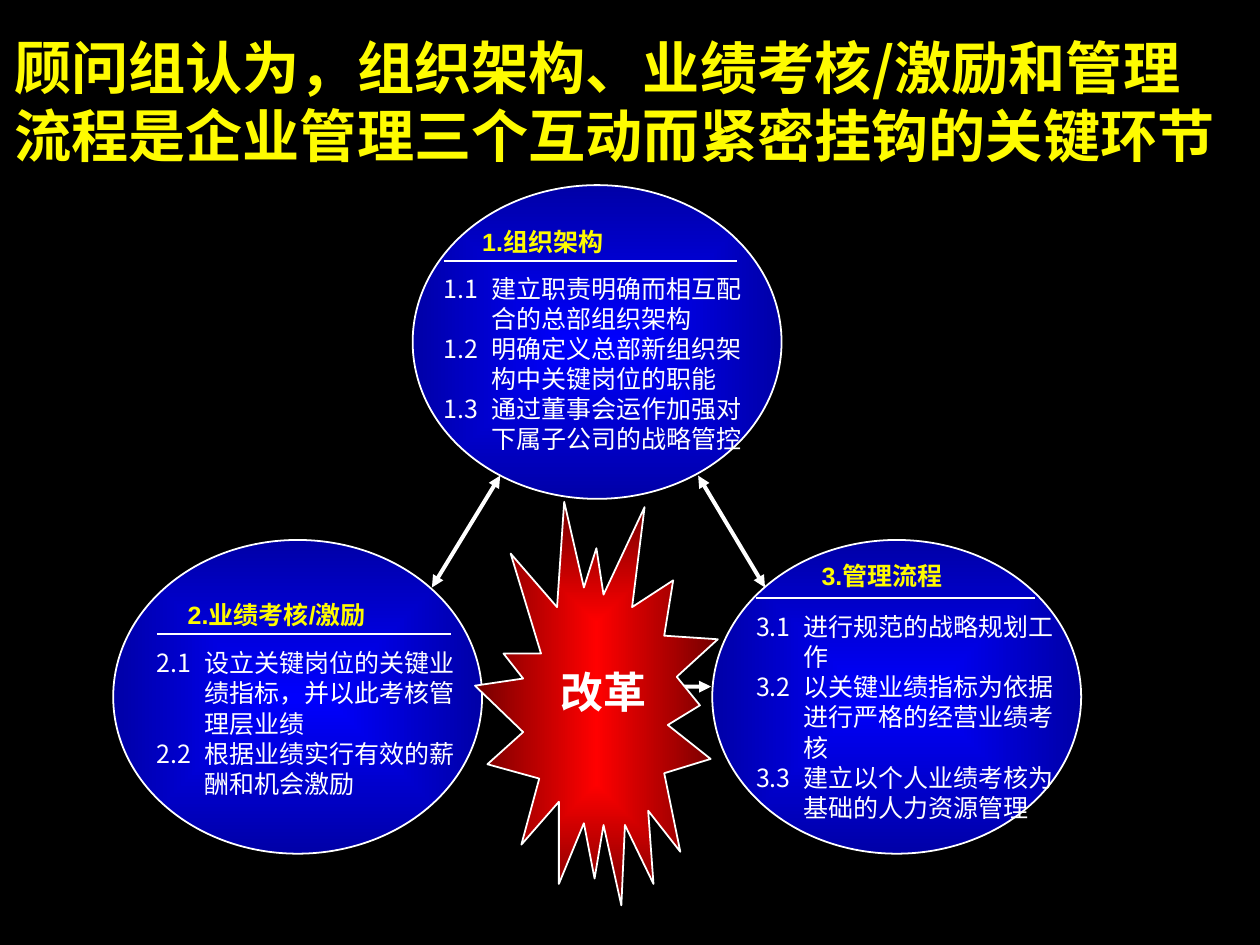
from pptx import Presentation
from pptx.dml.color import RGBColor
from pptx.enum.shapes import MSO_CONNECTOR, MSO_SHAPE
from pptx.enum.text import MSO_ANCHOR, PP_ALIGN
from pptx.oxml import parse_xml
from pptx.oxml.ns import nsdecls, qn
from pptx.util import Pt
from lxml.etree import SubElement

CJK_FONT = "Noto Sans CJK SC"
WHITE, YELLOW = "FFFFFF", "FEFB00"


def color(value):
    return RGBColor.from_string(value)


def add_text(box, lines, size, font, text_color, bold=False, indent=0):
    left, top, width, height = box
    shape = slide.shapes.add_textbox(Pt(left), Pt(top), Pt(width), Pt(height))
    frame = shape.text_frame
    frame.word_wrap = True
    frame.margin_left = frame.margin_right = frame.margin_top = frame.margin_bottom = 0
    frame.text = "\n".join(lines)
    for paragraph in frame.paragraphs:
        paragraph.line_spacing = Pt(size * 1.2)
        if indent:
            properties = paragraph._p.get_or_add_pPr()
            properties.set("marL", str(Pt(indent)))
            properties.set("indent", str(-Pt(indent)))
        for run in paragraph.runs:
            run.font.size = Pt(size)
            run.font.bold = bold
            run.font.name = font
            run.font.color.rgb = color(text_color)
            SubElement(run.font._element, qn("a:ea"), typeface=CJK_FONT)
    return frame


presentation = Presentation()
presentation.slide_width, presentation.slide_height = Pt(705.6), Pt(529.2)
slide = presentation.slides.add_slide(presentation.slide_layouts[6])
slide.background.fill.solid()
slide.background.fill.fore_color.rgb = color("000000")

# Lines: start x, start y, end x, end y, width, double arrow
lines = [
    (398.2, 384.5, 270.7, 385.2, 2.25, True),
    (241.9, 329, 280.1, 266.4, 2.25, True),
    (428.4, 329, 391, 266.4, 2.25, True),
    (248.4, 146.2, 412.6, 146.2, 1, False),
    (423.4, 334.8, 579.6, 334.8, 1, False),
    (87.8, 355, 252.7, 355, 1, False),
]
connectors = []
for x1, y1, x2, y2, width, arrow in lines:
    connector = slide.shapes.add_connector(
        MSO_CONNECTOR.STRAIGHT, Pt(x1), Pt(y1), Pt(x2), Pt(y2))
    connector.line.width = Pt(width)
    connector.line.color.rgb = color(WHITE)
    if arrow:
        for end in ("a:headEnd", "a:tailEnd"):
            SubElement(connector.line._get_or_add_ln(), qn(end), type="triangle")
    SubElement(connector._element.spPr, qn("a:effectLst"))
    connectors.append(connector)

# Three ellipses
filled_shapes = []
for left, top in [(398.9, 302.4), (63.4, 302.4), (231.1, 103.7)]:
    ellipse = slide.shapes.add_shape(
        MSO_SHAPE.OVAL, Pt(left), Pt(top), Pt(206.6), Pt(175.7))
    filled_shapes.append((ellipse, "0000FE", "0000A7"))

# The ellipses lie over the horizontal arrow and under the other lines
for connector in connectors[1:]:
    slide.shapes._spTree.append(connector._element)

# Title
add_text((7.9, 18, 684.7, 77),
         ["顾问组认为，组织架构、业绩考核/激励和管理流程是企业管理三个互动而紧密挂钩的关键环节"],
         32, CJK_FONT, YELLOW, bold=True)

# Headings and numbered points: heading place, heading, list box, points
topics = [
    ((270, 126.7), "1.组织架构", (248.4, 153.4, 171.4, 100.8),
     ["1.1\t建立职责明确而相互配合的总部组织架构",
      "1.2\t明确定义总部新组织架构中关键岗位的职能",
      "1.3\t通过董事会运作加强对下属子公司的战略管控"]),
    ((105.1, 335.5), "2.业绩考核/激励", (87.8, 362.9, 170.6, 84.2),
     ["2.1\t设立关键岗位的关键业绩指标，并以此考核管理层业绩",
      "2.2\t根据业绩实行有效的薪酬和机会激励"]),
    ((460.1, 313.9), "3.管理流程", (423.4, 342.7, 177.8, 117.4),
     ["3.1\t进行规范的战略规划工作",
      "3.2\t以关键业绩指标为依据进行严格的经营业绩考核",
      "3.3\t建立以个人业绩考核为基础的人力资源管理"]),
]
for place, heading, box, points in topics:
    add_text((*place, 166.3, 16.6), [heading], 14, "Arial", YELLOW, bold=True)
    add_text(box, points, 14, CJK_FONT, WHITE, indent=26.6)

# Central burst
burst_points = [
    (316, 281), (327, 329), (334, 307), (338, 333), (361, 284), (354, 340),
    (377, 325), (372, 356), (402, 358), (379, 379), (392, 395), (374, 406),
    (398, 425), (372, 433), (381, 477), (363, 454), (366, 495), (350, 462),
    (348, 507), (338, 462), (333, 492), (327, 461), (313, 495), (313, 449),
    (292, 473), (302, 436), (273, 428), (293, 410), (266, 384), (293, 380),
    (282, 366), (303, 366), (286, 310), (312, 340),
]
builder = slide.shapes.build_freeform(*burst_points[0], scale=Pt(1))
builder.add_line_segments(burst_points[1:], close=True)
filled_shapes.append((builder.convert_to_shape(), "FF0000", "750000"))

# Gradients from the centre outwards
for shape, inner, outer in filled_shapes:
    shape.shadow.inherit = False
    shape.line.color.rgb = color(WHITE)
    shape.line.width = Pt(1)
    shape.fill.gradient()
    for stop, value in zip(shape.fill.gradient_stops, (inner, outer)):
        stop.color.rgb = color(value)
    gradient = shape._element.spPr.find(qn("a:gradFill"))
    gradient.replace(gradient.find(qn("a:lin")), parse_xml(
        f'<a:path {nsdecls("a")} path="rect">'
        '<a:fillToRect l="50000" t="50000" r="50000" b="50000"/></a:path>'))

# Burst label
label = add_text((306.7, 370, 62.6, 34), ["改革"], 24, "Arial", WHITE, bold=True)
label.vertical_anchor = MSO_ANCHOR.MIDDLE
label.paragraphs[0].alignment = PP_ALIGN.CENTER

presentation.save("out.pptx")
